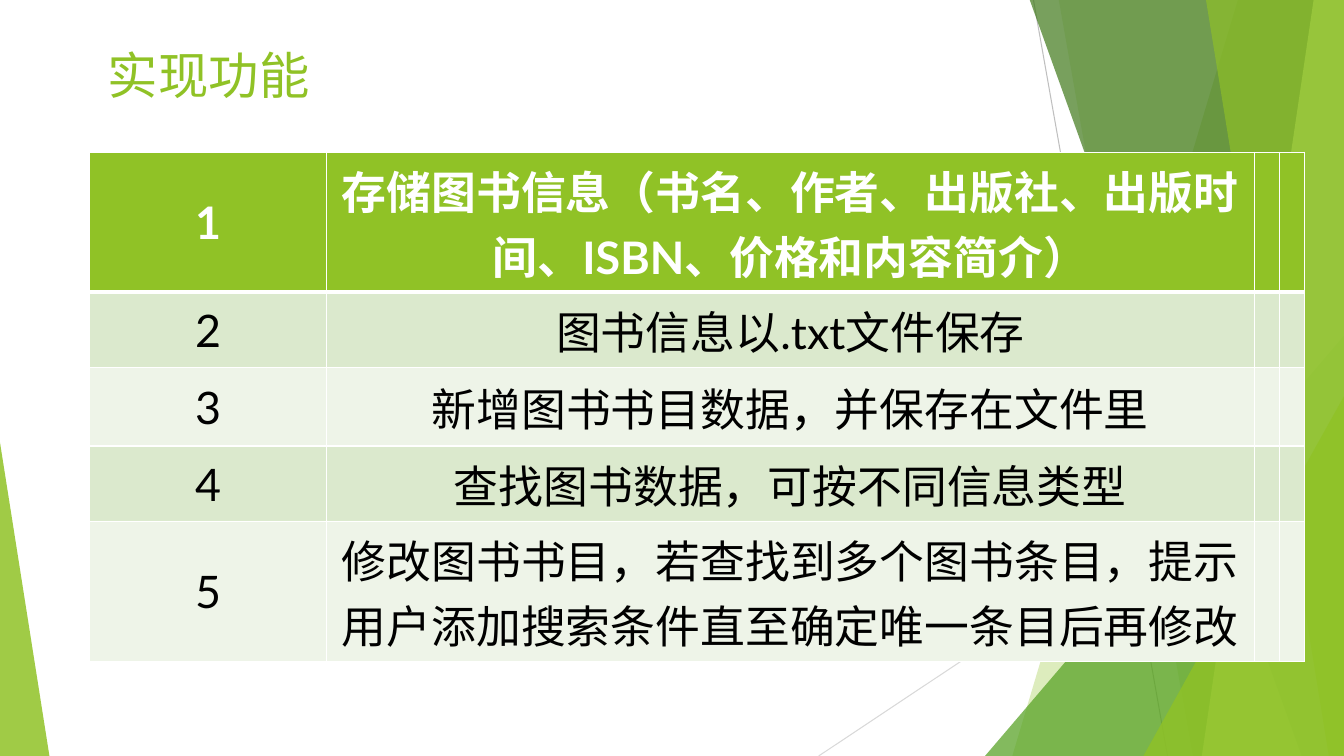
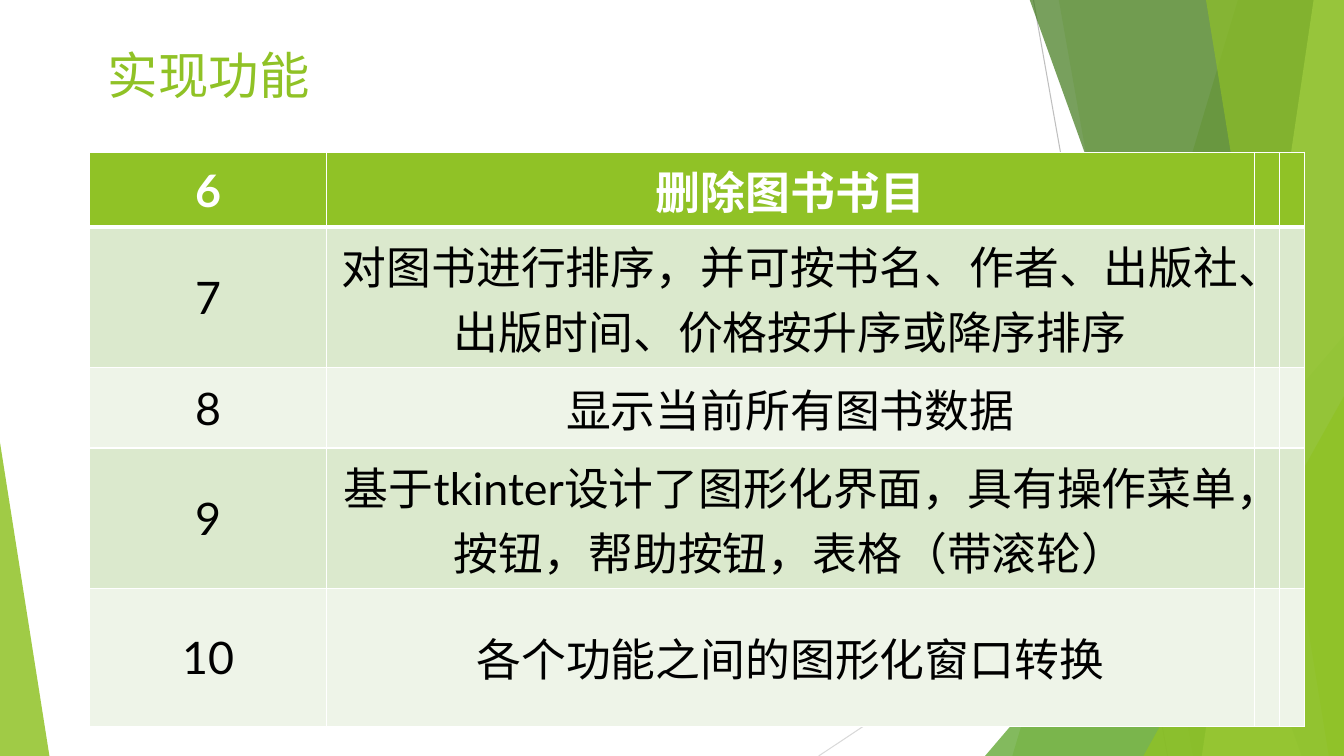
from lxml.etree import SubElement
from pptx import Presentation
from pptx.dml.color import RGBColor
from pptx.enum.shapes import MSO_CONNECTOR as Connector, MSO_SHAPE as Preset
from pptx.enum.text import MSO_ANCHOR as Anchor, MSO_AUTO_SIZE as AutoSize, PP_ALIGN as Align
from pptx.oxml import parse_xml
from pptx.oxml.ns import nsdecls, qn
from pptx.util import Pt

PX = 9144
WIDTH, HEIGHT = 1333, 750

WHITE = RGBColor(0xFF, 0xFF, 0xFF)
BLACK = RGBColor(0x00, 0x00, 0x00)
GREEN = RGBColor(0x90, 0xC2, 0x26)
MID_GREEN = RGBColor(0x54, 0xA0, 0x21)
DARK_GREEN = RGBColor(0x3F, 0x78, 0x19)
LIME = RGBColor(0xC0, 0xE4, 0x74)
BAND_DARK = RGBColor(0xDB, 0xE9, 0xCD)
BAND_LIGHT = RGBColor(0xEE, 0xF4, 0xE8)
GRAY = RGBColor(0xBF, 0xBF, 0xBF)
LIGHT_GRAY = RGBColor(0xD9, 0xD9, 0xD9)

FONT = "Lato"
TITLE = "实现功能"
TITLE_BOX = (97, 39, 238, 70)
TABLE_ORIGIN = (89, 151)
COLUMN_WIDTHS = (235, 920, 25, 25)

TABLES = [
    (1, [
        ("存储图书信息（书名、作者、出版社、出版时间、ISBN、价格和内容简介）", 139),
        ("图书信息以.txt文件保存", 74),
        ("新增图书书目数据，并保存在文件里", 78),
        ("查找图书数据，可按不同信息类型", 74),
        ("修改图书书目，若查找到多个图书条目，提示用户添加搜索条件直至确定唯一条目后再修改", 139),
    ]),
    (6, [
        ("删除图书书目", 74),
        ("对图书进行排序，并可按书名、作者、出版社、出版时间、价格按升序或降序排序", 139),
        ("显示当前所有图书数据", 80),
        ("基于tkinter设计了图形化界面，具有操作菜单，按钮，帮助按钮，表格（带滚轮）", 139),
        ("各个功能之间的图形化窗口转换", 137),
    ]),
]


def emu(*lengths):
    return [length * PX for length in lengths]


def paint(shape, color, opacity):
    shape.shadow.inherit = False
    shape.fill.solid()
    shape.fill.fore_color.rgb = color
    shape.line.fill.background()
    color_element = next(shape.element.iter(qn("a:srgbClr")))
    SubElement(color_element, qn("a:alpha"), val=str(opacity * 1000))


def add_thin_line(shapes, start, end, color):
    line = shapes.add_connector(Connector.STRAIGHT, *emu(*start, *end))
    line.line.color.rgb = color
    line.line.width = Pt(0.75)
    SubElement(line.element.spPr, qn("a:effectLst"))


def add_facet(shapes, top_left, bottom_left, color, opacity):
    builder = shapes.build_freeform(*emu(top_left, -1))
    corners = [(WIDTH, -1), (WIDTH, HEIGHT), (bottom_left, HEIGHT)]
    builder.add_line_segments([emu(*corner) for corner in corners], close=True)
    paint(builder.convert_to_shape(), color, opacity)


def add_triangle(shapes, left, top, width, apex, color, opacity):
    triangle = shapes.add_shape(Preset.ISOSCELES_TRIANGLE, *emu(left, top, width, HEIGHT - top))
    triangle.adjustments[0] = apex
    paint(triangle, color, opacity)


def add_backdrop(slide):
    group = slide.shapes.add_group_shape()
    shapes = group.shapes
    add_thin_line(shapes, (1025, 0), (1158, HEIGHT), GRAY)
    add_thin_line(shapes, (WIDTH, 403), (812, HEIGHT), LIGHT_GRAY)
    add_facet(shapes, 1228, 1004, GREEN, 30)
    add_facet(shapes, 1050, 1183, GREEN, 20)
    add_triangle(shapes, 977, 333, 356, 1, MID_GREEN, 72)
    add_facet(shapes, 1021, 1291, DARK_GREEN, 70)
    add_facet(shapes, 1303, 1192, LIME, 70)
    add_facet(shapes, 1196, 1318, GREEN, 65)
    add_triangle(shapes, 1134, 393, 199, 1, GREEN, 80)
    add_triangle(shapes, 0, 439, 49, 0, GREEN, 85)
    for number, properties in enumerate(group.element.iter(qn("p:cNvPr")), 20):
        properties.set("id", str(number))
    slide.slide_layout.shapes.element.insert(2, group.element)


def add_run(paragraph, text, size, color, bold=False):
    run = paragraph.add_run()
    run.text = text
    run.font.name = FONT
    run.font.size = Pt(size)
    run.font.bold = bold
    run.font.color.rgb = color


def add_title(slide, box):
    title = slide.shapes.title
    title.left, title.top, title.width, title.height = emu(*box)
    frame = title.text_frame
    frame.auto_size = AutoSize.NONE
    frame.vertical_anchor = Anchor.TOP
    frame.paragraphs[0].alignment = Align.LEFT
    add_run(frame.paragraphs[0], TITLE, 36, GREEN)


def set_borders(cell, top, bottom):
    properties = cell._tc.get_or_add_tcPr()
    for index, (side, points) in enumerate(zip("LRTB", (1, 1, top, bottom))):
        properties.insert(index, parse_xml(
            f'<a:ln{side} {nsdecls("a")} w="{Pt(points)}"><a:solidFill>'
            f'<a:srgbClr val="{WHITE}"/></a:solidFill></a:ln{side}>'))


def add_feature_table(slide, origin, first_number, features):
    size = sum(COLUMN_WIDTHS), sum(height for _, height in features)
    frame = slide.shapes.add_table(len(features), len(COLUMN_WIDTHS), *emu(*origin, *size))
    table = frame.table
    table.horz_banding = False
    for column, width in zip(table.columns, COLUMN_WIDTHS):
        column.width = width * PX
    for index, (row, (feature, height)) in enumerate(zip(table.rows, features)):
        row.height = height * PX
        header = index == 0
        band = BAND_DARK if index % 2 else BAND_LIGHT
        texts = (str(first_number + index), feature, "", "")
        for cell, text in zip(row.cells, texts):
            cell.fill.solid()
            cell.fill.fore_color.rgb = GREEN if header else band
            cell.vertical_anchor = Anchor.MIDDLE
            set_borders(cell, 3 if index == 1 else 1, 3 if header else 1)
            if text:
                paragraph = cell.text_frame.paragraphs[0]
                paragraph.alignment = Align.CENTER
                add_run(paragraph, text, 32, WHITE if header else BLACK, header)


def main():
    presentation = Presentation()
    presentation.slide_width, presentation.slide_height = emu(WIDTH, HEIGHT)
    layout = presentation.slide_layouts.get_by_name("Title Only")
    for first_number, features in TABLES:
        slide = presentation.slides.add_slide(layout)
        add_feature_table(slide, TABLE_ORIGIN, first_number, features)
        add_title(slide, TITLE_BOX)
    add_backdrop(presentation.slides[0])
    presentation.save("out.pptx")


if __name__ == "__main__":
    main()
